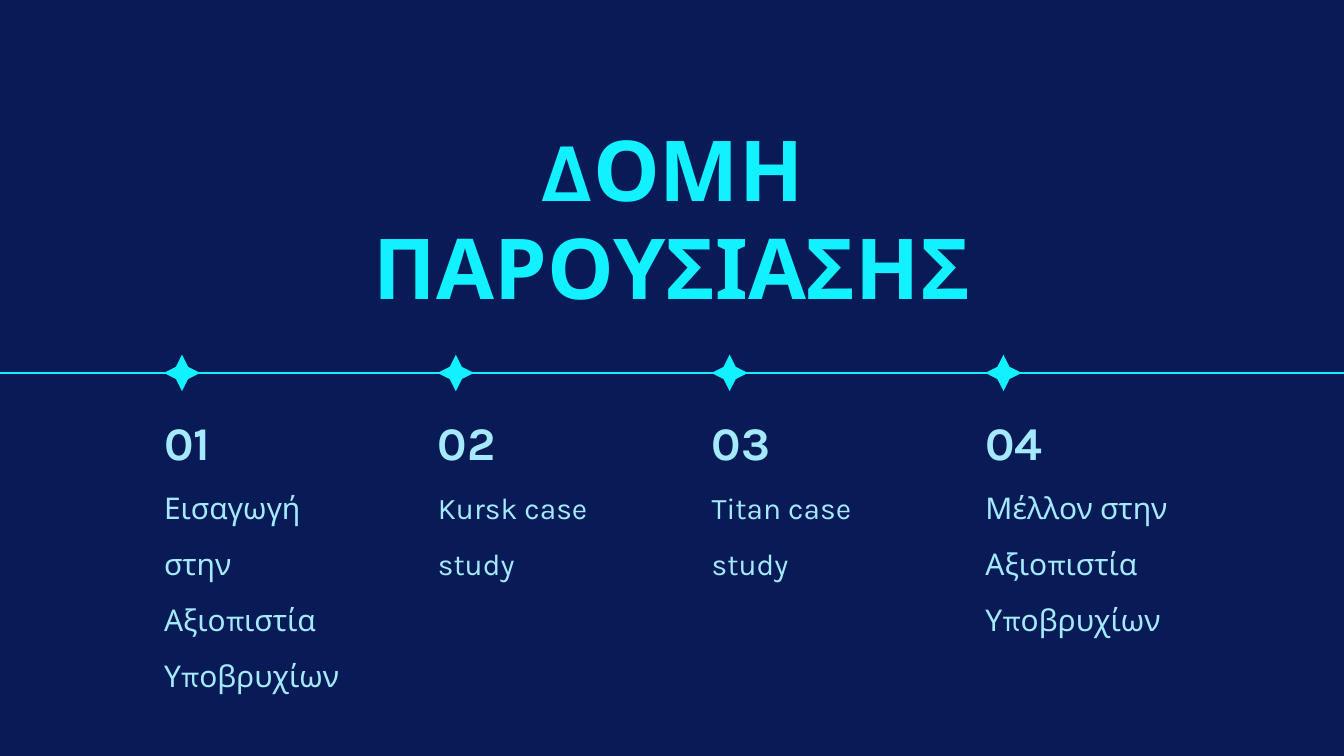
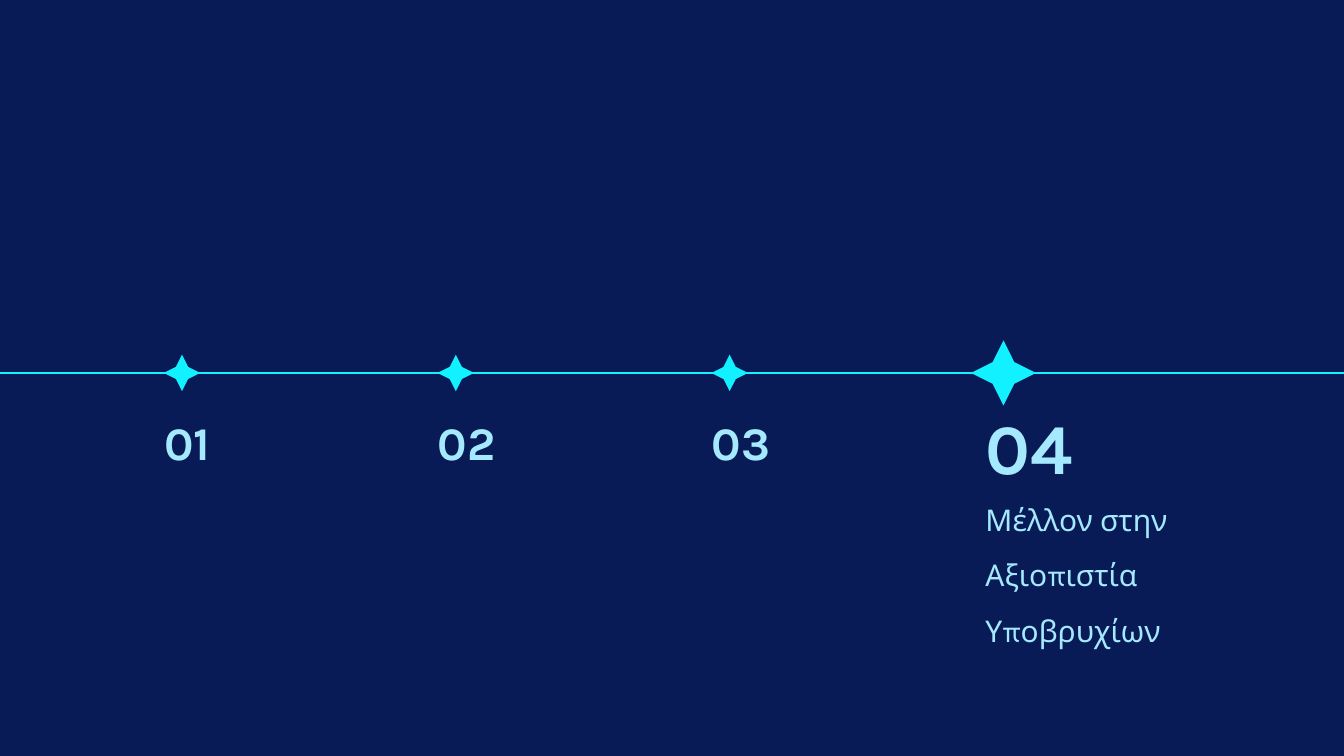
from lxml import etree
from pptx import Presentation
from pptx.dml.color import RGBColor
from pptx.enum.shapes import MSO_CONNECTOR
from pptx.enum.text import MSO_ANCHOR, MSO_AUTO_SIZE, PP_ALIGN
from pptx.oxml.ns import qn
from pptx.util import Cm, Pt

STRAIGHT = MSO_CONNECTOR.STRAIGHT
TOP = MSO_ANCHOR.TOP
GROW = MSO_AUTO_SIZE.SHAPE_TO_FIT_TEXT
LEFT, CENTER = PP_ALIGN.LEFT, PP_ALIGN.CENTER

FONT = "Karla"
NAVY, CYAN, PALE = "081B57", "12F1FF", "A5E9FE"
WIDTH, HEIGHT = 50.8, 28.58
AXIS = 14.1
FIRST, PITCH = 6.2, 10.35
MARK = 0.68  # from a column's left edge to the centre of its star
OVER = 2.46  # how far the axis runs past each slide edge
TOPICS = [
    "Εισαγωγή στην Αξιοπιστία Υποβρυχίων",
    "Kursk case study",
    "Titan case study",
    "Μέλλον στην Αξιοπιστία Υποβρυχίων",
]


def paint(fill, color):
    fill.solid()
    fill.fore_color.rgb = RGBColor.from_string(color)


def write(shape, text, size, color, space, bold=False, align=LEFT):
    frame = shape.text_frame
    frame.margin_left = frame.margin_right = 0
    frame.margin_top = frame.margin_bottom = 0
    frame.word_wrap = True
    frame.vertical_anchor = TOP
    frame.auto_size = GROW
    para = frame.paragraphs[0]
    para.alignment = align
    para.line_spacing = space
    run = para.add_run()
    run.text = text
    font = run.font
    font.name, font.size, font.bold = FONT, Pt(size), bold
    font.color.rgb = RGBColor.from_string(color)


def add_title(slide, text):
    title = slide.shapes.title
    title.left, title.top = Cm(13.15), Cm(4.67)
    title.width, title.height = Cm(24.5), Cm(7.46)
    write(title, text, 90, CYAN, 0.97, True, CENTER)


def add_text(slide, x, y, w, h, *style):
    box = slide.shapes.add_textbox(Cm(x), Cm(y), Cm(w), Cm(h))
    write(box, *style)


def add_axis(slide):
    line = slide.shapes.add_connector(
        STRAIGHT, Cm(-OVER), Cm(AXIS), Cm(WIDTH + OVER), Cm(AXIS))
    paint(line.line.fill, CYAN)
    line.line.width = Pt(2.25)
    etree.SubElement(line._element.spPr, qn("a:effectLst"))


def add_star(slide, x, reach):
    """Draw a four-pointed star centred on the axis."""
    dent = reach / 3
    steps = [(0, -reach), (dent, -dent), (reach, 0), (dent, dent),
             (0, reach), (-dent, dent), (-reach, 0), (-dent, -dent)]
    spots = [(Cm(x + dx), Cm(AXIS + dy)) for dx, dy in steps]
    path = slide.shapes.build_freeform(*spots[0])
    path.add_line_segments(spots[1:], close=True)
    star = path.convert_to_shape()
    star.shadow.inherit = False
    paint(star.fill, CYAN)
    star.line.fill.background()


def add_stop(slide, index, topic=None, large=False):
    x = FIRST + index * PITCH
    reach, top, high, size, below = (
        (1.23, 15.16, 3.25, 76, 18.19) if large
        else (0.69, 15.6, 2.13, 50, 17.75))
    add_star(slide, x + MARK, reach)
    add_text(slide, x, top, 6.1, high, f"{index + 1:02}", size, PALE, 1.03, True)
    if topic:
        add_text(slide, x, below, 7.5, 5.64, topic, 32, PALE, 1.56)


def add_outline(deck):
    slide = deck.slides.add_slide(deck.slide_layouts[5])
    add_title(slide, "ΔΟΜΗ ΠΑΡΟΥΣΙΑΣΗΣ")
    add_axis(slide)
    for index, topic in enumerate(TOPICS):
        add_stop(slide, index, topic)


def add_focus(deck, chosen):
    """Add the timeline with one stop enlarged."""
    slide = deck.slides.add_slide(deck.slide_layouts[6])
    add_axis(slide)
    for index, topic in enumerate(TOPICS):
        large = index == chosen
        add_stop(slide, index, topic if large else None, large)


def main():
    deck = Presentation()
    deck.slide_width, deck.slide_height = Cm(WIDTH), Cm(HEIGHT)
    paint(deck.slide_master.background.fill, NAVY)
    add_outline(deck)
    add_focus(deck, 3)
    deck.save("out.pptx")


if __name__ == "__main__":
    main()
